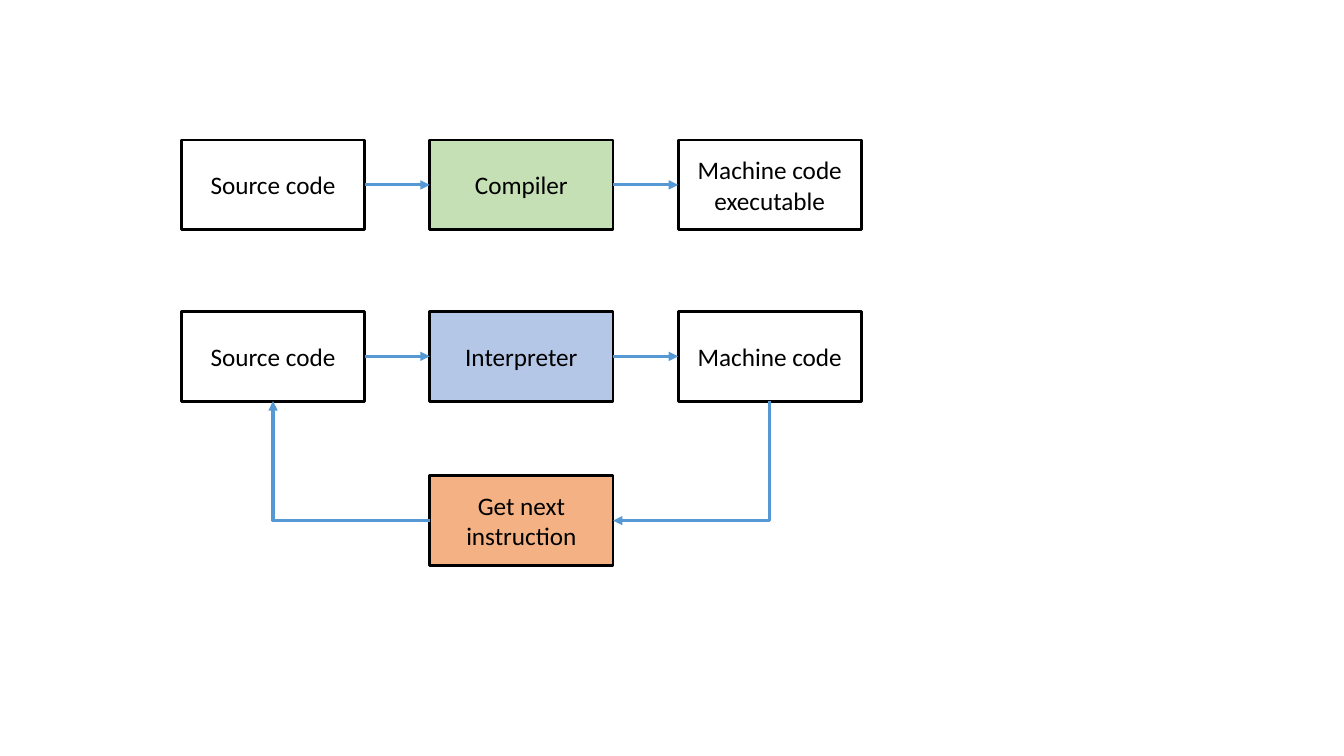
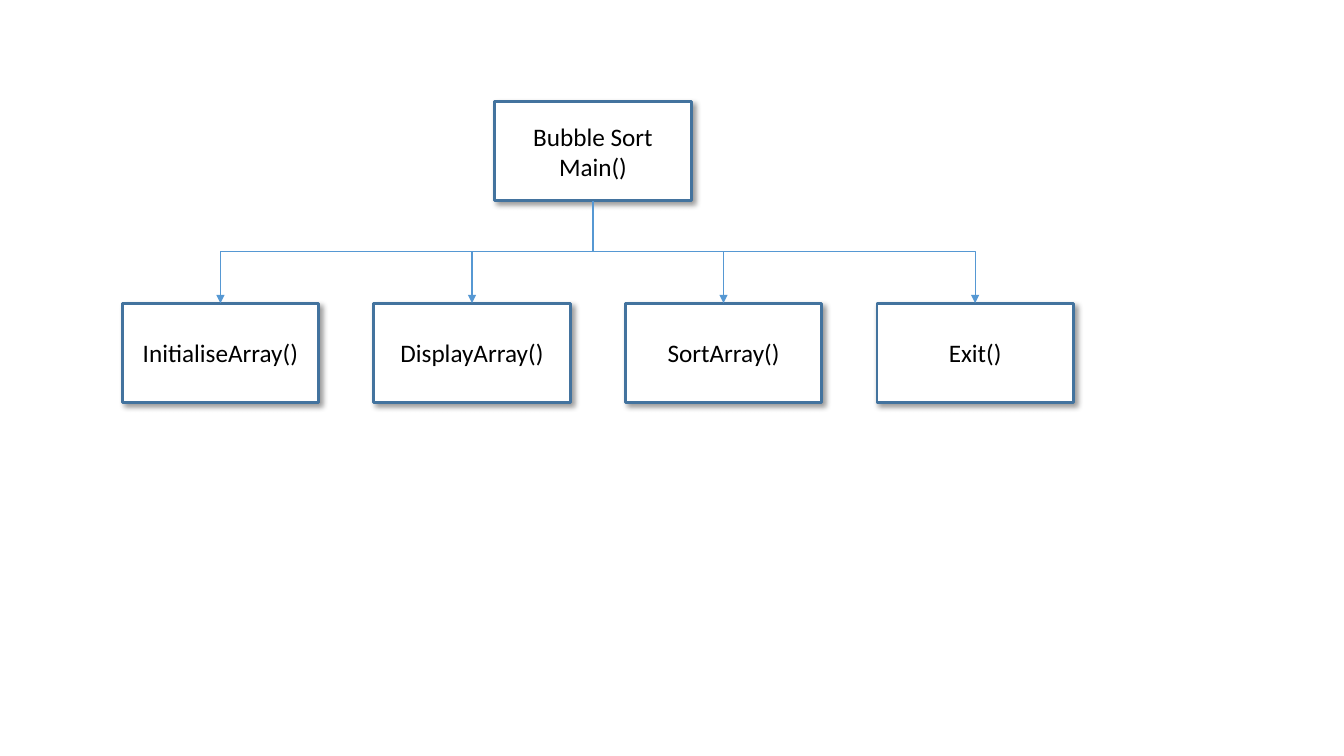
import dataclasses

import pptx
import pptx.dml.color
import pptx.enum.shapes
import pptx.enum.text
import pptx.oxml
import pptx.oxml.ns
import pptx.util

Cm = pptx.util.Cm
Pt = pptx.util.Pt
Kind = pptx.enum.shapes.MSO_CONNECTOR
TOP, LEFT, BASE, RIGHT = range(4)  # connection sites of a rectangle


@dataclasses.dataclass(frozen=True)
class Theme:
    font: str = "Calibri"
    size: float = 18
    edge: float = 2
    bold: float = 2.25
    thin: float = 0.75
    ink: str = "000000"
    white: str = "FFFFFF"
    green: str = "C5E0B4"
    blue: str = "B4C7E7"
    orange: str = "F4B183"
    steel: str = "43739E"
    arrow: str = "5698D3"


def color(code):
    return pptx.dml.color.RGBColor.from_string(code)


def node(text):
    """Make a drawing element from its tag and attributes."""
    return pptx.oxml.parse_xml(text.replace(
        ">", f" {pptx.oxml.ns.nsdecls('a')}>", 1))


class Deck:
    def __init__(self, theme):
        self.theme = theme
        self.file = pptx.Presentation()
        self.file.slide_width = Cm(33.87)
        self.file.slide_height = Cm(19.05)
        self.slide = None

    def page(self):
        self.slide = self.file.slides.add_slide(self.file.slide_layouts[6])

    def box(self, text, x, y, w, h, fill, line, shade=False):
        look = self.theme
        shape = self.slide.shapes.add_shape(
            pptx.enum.shapes.MSO_SHAPE.RECTANGLE, Cm(x), Cm(y), Cm(w), Cm(h))
        shape.fill.solid()
        shape.fill.fore_color.rgb = color(fill)
        shape.line.color.rgb = color(line)
        shape.line.width = Pt(look.edge)
        shape.shadow.inherit = False
        if shade:
            self.shade(shape)
        frame = shape.text_frame
        frame.word_wrap = True
        frame.vertical_anchor = pptx.enum.text.MSO_ANCHOR.MIDDLE
        para = frame.paragraphs[0]
        para.text = text
        para.alignment = pptx.enum.text.PP_ALIGN.CENTER
        para.font.name = look.font
        para.font.size = Pt(look.size)
        para.font.color.rgb = color(look.ink)
        return shape

    def shade(self, shape):
        effects = shape._element.spPr.find(pptx.oxml.ns.qn("a:effectLst"))
        effects.append(node(
            f'<a:outerShdw blurRad="{Pt(4)}" dist="{Pt(3)}" dir="2700000" '
            'algn="tl" rotWithShape="0">'
            f'<a:srgbClr val="{self.theme.ink}"><a:alpha val="40000"/>'
            '</a:srgbClr></a:outerShdw>'))

    def link(self, start, out, end, into, width, kind=Kind.STRAIGHT):
        wire = self.slide.shapes.add_connector(kind, 0, 0, 0, 0)
        wire.begin_connect(start, out)
        wire.end_connect(end, into)
        wire.line.color.rgb = color(self.theme.arrow)
        wire.line.width = Pt(width)
        wire.line._get_or_add_ln().append(node('<a:tailEnd type="triangle"></a:tailEnd>'))
        wire._element.spPr.append(node("<a:effectLst></a:effectLst>"))
        return wire

    def bend(self, start, out, end, into, width, form, turn, flip=False):
        """Elbow arrow; a quarter turn swaps its width and height."""
        wire = self.link(start, out, end, into, width, Kind.ELBOW)
        if turn % 180:
            w, h = wire.width, wire.height
            wire.left += (w - h) // 2
            wire.top += (h - w) // 2
            wire.width, wire.height = h, w
        frame = wire._element.spPr.find(pptx.oxml.ns.qn("a:xfrm"))
        frame.set("rot", str(turn * 60000))
        frame.set("flipH", str(int(flip)))
        frame.set("flipV", "0")
        wire._element.spPr.find(pptx.oxml.ns.qn("a:prstGeom")).set("prst", form)


def flow(deck):
    """Compiler row above the interpreter loop."""
    look = deck.theme
    deck.page()

    def step(text, col, y, fill=look.white):
        return deck.box(text, 4.57 + 6.26 * col, y, 4.62, 2.26, fill, look.ink)

    # Rows of three steps
    rows = [
        (3.53, look.green, ("Source code", "Compiler", "Machine code executable")),
        (7.85, look.blue, ("Source code", "Interpreter", "Machine code")),
    ]
    for y, tint, names in rows:
        fills = (look.white, tint, look.white)
        steps = [step(name, col, y, fill)
                 for col, (name, fill) in enumerate(zip(names, fills))]
        for one, two in zip(steps, steps[1:]):
            deck.link(one, RIGHT, two, LEFT, look.bold)

    # Loop back from the last row
    again = step("Get next instruction", 1, 11.99, look.orange)
    deck.bend(steps[-1], BASE, again, RIGHT, look.bold, "bentConnector2", 90)
    deck.bend(again, LEFT, steps[0], BASE, look.bold, "bentConnector2", 180)


def tree(deck):
    """Main routine and the routines it calls."""
    look = deck.theme
    deck.page()

    def part(text, x, y):
        return deck.box(text, x, y, 4.95, 2.5, look.white, look.steel, shade=True)

    # Boxes
    root = part("Bubble Sort Main()", 12.47, 2.56)
    names = ("InitialiseArray()", "DisplayArray()", "SortArray()", "Exit()")
    calls = [part(name, 3.08 + 6.34 * col, 7.64) for col, name in enumerate(names)]

    # Arrows
    for call in calls:
        right = call.left > root.left
        deck.bend(root, BASE, call, TOP, look.thin, "bentConnector3",
                  270 if right else 90, right)


def main():
    deck = Deck(Theme())
    flow(deck)
    tree(deck)
    deck.file.save("out.pptx")


if __name__ == "__main__":
    main()
